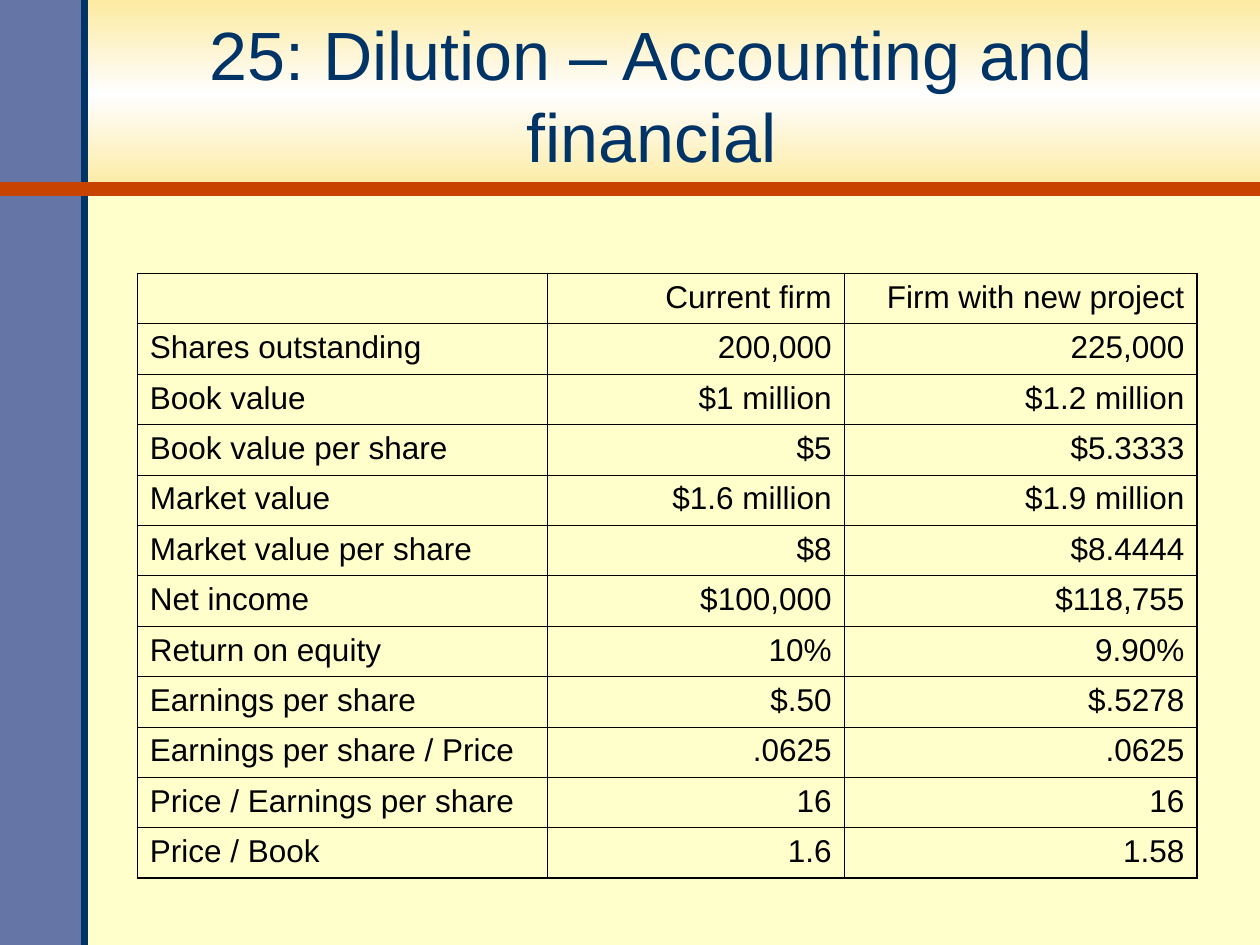
from lxml import etree
from pptx import Presentation
from pptx.dml.color import RGBColor
from pptx.enum.shapes import MSO_CONNECTOR, MSO_SHAPE
from pptx.enum.text import MSO_ANCHOR, MSO_AUTO_SIZE, PP_ALIGN
from pptx.oxml.ns import qn
from pptx.util import Inches, Pt

RECTANGLE = MSO_SHAPE.RECTANGLE
STRAIGHT = MSO_CONNECTOR.STRAIGHT
MIDDLE = MSO_ANCHOR.MIDDLE
NO_AUTOFIT = MSO_AUTO_SIZE.NONE
LEFT, CENTER, RIGHT = PP_ALIGN.LEFT, PP_ALIGN.CENTER, PP_ALIGN.RIGHT

COLORS = {
    "page": "FFFFCC",
    "banner": "FDEBA1",
    "glow": "FEFEFE",
    "sidebar": "6475A6",
    "navy": "003366",
    "rule": "C84300",
    "ink": "000000",
}

COLUMN_WIDTHS = (3.25, 2.36, 2.8)
ROW_HEIGHT = 0.4
OUTER_LINE, INNER_LINE = 1.08, 0.45

ROWS = [
    ("", "Current firm", "Firm with new project"),
    ("Shares outstanding", "200,000", "225,000"),
    ("Book value", "$1 million", "$1.2 million"),
    ("Book value per share", "$5", "$5.3333"),
    ("Market value", "$1.6 million", "$1.9 million"),
    ("Market value per share", "$8", "$8.4444"),
    ("Net income", "$100,000", "$118,755"),
    ("Return on equity", "10%", "9.90%"),
    ("Earnings per share", "$.50", "$.5278"),
    ("Earnings per share / Price", ".0625", ".0625"),
    ("Price / Earnings per share", "16", "16"),
    ("Price / Book", "1.6", "1.58"),
]


def rgb(name):
    return RGBColor.from_string(COLORS[name])


def add_solid_fill(parent, name):
    fill = etree.SubElement(parent, qn("a:solidFill"))
    etree.SubElement(fill, qn("a:srgbClr"), val=COLORS[name])


class SlideBuilder:
    font = "Arial"

    def __init__(self, slide):
        self.slide = slide
        self.shapes = slide.shapes
        slide.background.fill.solid()
        slide.background.fill.fore_color.rgb = rgb("page")

    def format_paragraph(self, p, size, color, align):
        p.alignment = align
        p.font.name = self.font
        p.font.size = Pt(size)
        p.font.color.rgb = rgb(color)

    def rectangle(self, left, top, width, height, color):
        sp = self.shapes.add_shape(RECTANGLE, Inches(left), Inches(top),
                                   Inches(width), Inches(height))
        sp.shadow.inherit = False
        sp.fill.solid()
        sp.fill.fore_color.rgb = rgb(color)
        sp.line.fill.background()
        return sp

    def gradient_rectangle(self, left, top, width, height, colors):
        sp = self.rectangle(left, top, width, height, colors[0])
        sp.fill.gradient()
        sp.fill.gradient_angle = 270  # counter-clockwise: top to bottom
        stops = sp._element.spPr.find(qn("a:gradFill")).find(qn("a:gsLst"))
        for stop in list(stops):
            stops.remove(stop)
        for i, name in enumerate(colors):
            pos = 100000 * i // (len(colors) - 1)
            stop = etree.SubElement(stops, qn("a:gs"), pos=str(pos))
            etree.SubElement(stop, qn("a:srgbClr"), val=COLORS[name])

    def line(self, x1, y1, x2, y2, color, width):
        line = self.shapes.add_connector(STRAIGHT, Inches(x1), Inches(y1),
                                         Inches(x2), Inches(y2))
        line.line.color.rgb = rgb(color)
        line.line.width = Pt(width)
        etree.SubElement(line._element.spPr, qn("a:effectLst"))

    def title(self, text, left, top, width, height):
        sp = self.shapes.title
        sp.left, sp.top = Inches(left), Inches(top)
        sp.width, sp.height = Inches(width), Inches(height)
        tf = sp.text_frame
        tf.text = text
        tf.word_wrap = True
        tf.auto_size = NO_AUTOFIT
        tf.vertical_anchor = MIDDLE
        self.format_paragraph(tf.paragraphs[0], 39, "navy", CENTER)
        # Bring the title in front of the banner
        self.shapes._spTree.append(sp._element)

    def cell_borders(self, cell, widths):
        tc_pr = cell._tc.get_or_add_tcPr()
        for side, width in widths.items():
            ln = etree.SubElement(tc_pr, qn(f"a:ln{side}"), w=str(Pt(width)))
            add_solid_fill(ln, "ink")

    def table(self, rows, left, top):
        n_rows, n_cols = len(rows), len(COLUMN_WIDTHS)
        table = self.shapes.add_table(
            n_rows, n_cols, Inches(left), Inches(top),
            Inches(sum(COLUMN_WIDTHS)), Inches(ROW_HEIGHT * n_rows)).table
        table.first_row = table.horz_banding = False
        for column, width in zip(table.columns, COLUMN_WIDTHS):
            column.width = Inches(width)
        for r, values in enumerate(rows):
            table.rows[r].height = Inches(ROW_HEIGHT)
            for c, value in enumerate(values):
                cell = table.cell(r, c)
                cell.text = value
                self.format_paragraph(cell.text_frame.paragraphs[0], 18, "ink",
                                      RIGHT if c else LEFT)
                on_edge = {"L": c == 0, "R": c == n_cols - 1,
                           "T": r == 0, "B": r == n_rows - 1}
                self.cell_borders(cell, {
                    side: OUTER_LINE if outer else INNER_LINE
                    for side, outer in on_edge.items()})
                cell.fill.background()


def main():
    prs = Presentation()
    prs.slide_width, prs.slide_height = Inches(10), Inches(7.5)
    s = SlideBuilder(prs.slides.add_slide(prs.slide_layouts[5]))

    # Banner, sidebar and rules
    s.gradient_rectangle(0, 0, 10, 1.5, ("banner", "glow", "banner"))
    s.rectangle(0, 0, 0.67, 7.5, "sidebar")
    s.line(0.67, 7.5, 0.67, 0, "navy", 4)
    s.line(0, 1.5, 10, 1.5, "rule", 8)

    # Title
    s.title("25: Dilution – Accounting and financial", 0.65, 0.15, 9.04, 1.2)

    # Comparison of the firm before and after the project
    s.table(ROWS, 1.09, 2.17)

    prs.save("out.pptx")


if __name__ == "__main__":
    main()
